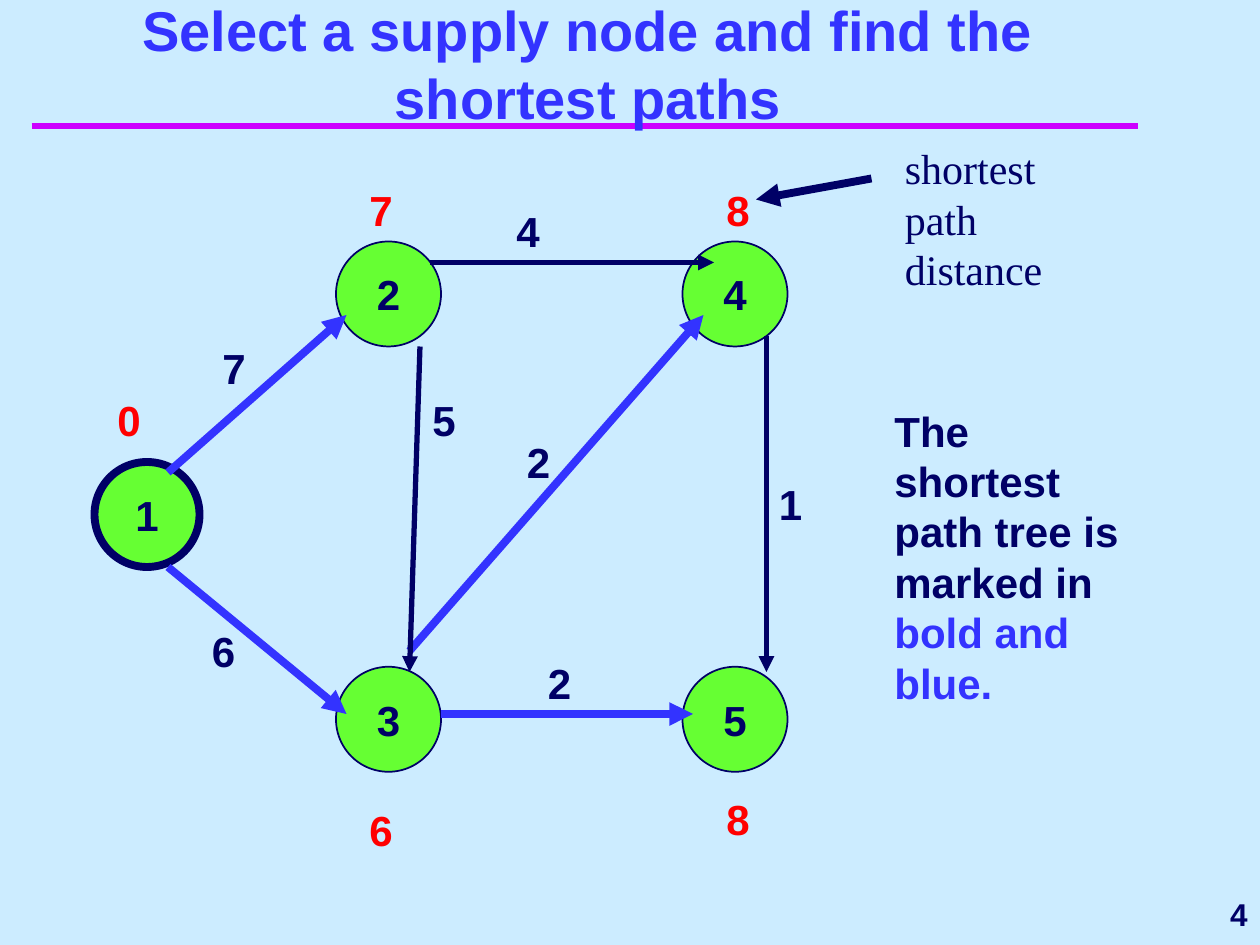
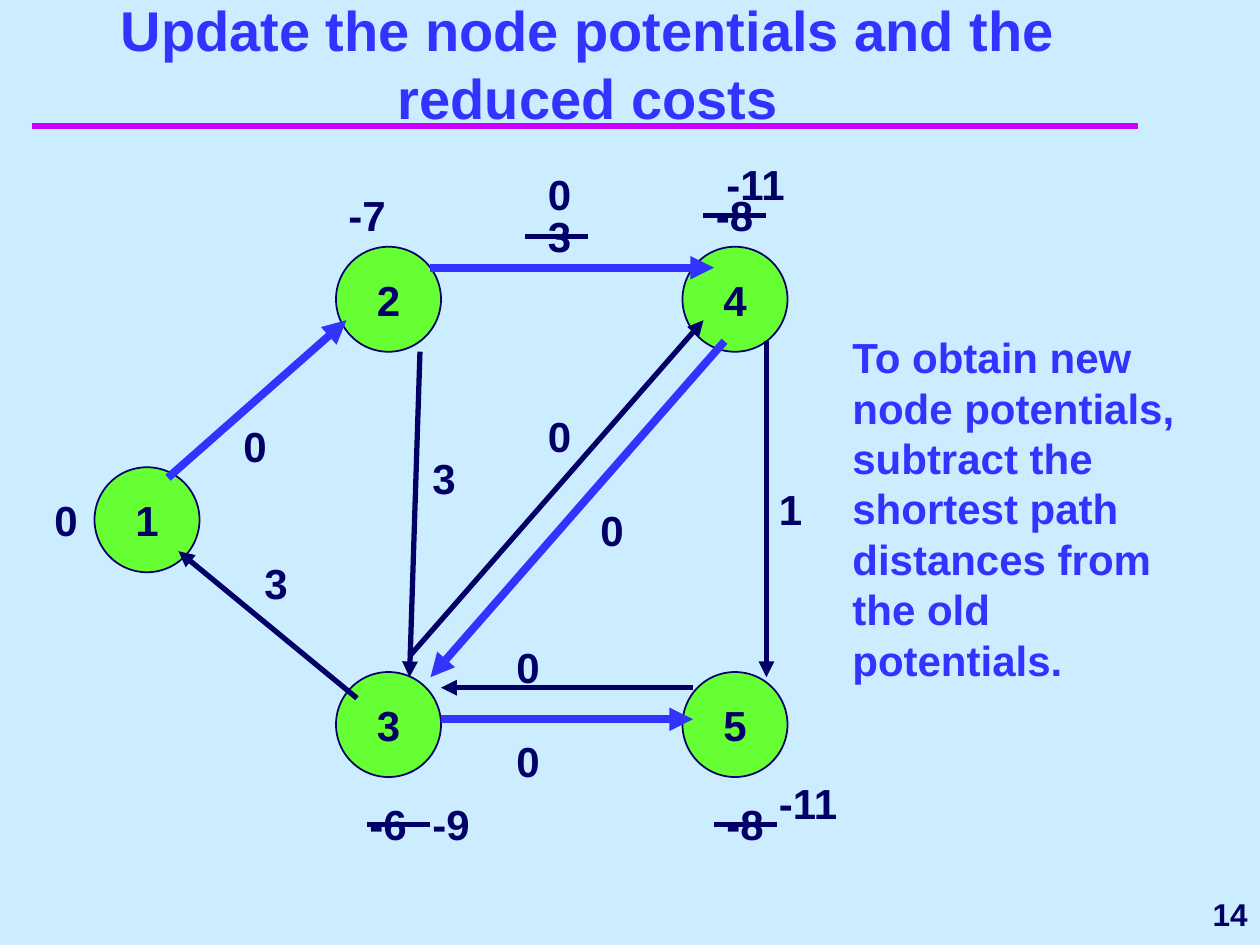
import dataclasses

import lxml.etree
import pptx
import pptx.dml.color
import pptx.enum.shapes
import pptx.enum.text
import pptx.oxml.ns
import pptx.util

ALIGN = pptx.enum.text.PP_ALIGN
ANCHOR = pptx.enum.text.MSO_ANCHOR
NODE_SIZE = 100
LABEL_HEIGHT = 60
STRIKE_LENGTH = 60


@dataclasses.dataclass(frozen=True)
class Theme:
    background: str = "CCECFF"
    ink: str = "000066"
    blue: str = "3333FF"
    red: str = "FF0000"
    node: str = "66FF33"
    rule: str = "CC00FF"
    sans: str = "Arial"
    serif: str = "Times New Roman"
    title_size: int = 32
    body_size: int = 24
    number_size: int = 18
    outline: float = 1
    thin: float = 3
    rule_width: float = 4
    thick: float = 4.5


NODES = {
    "1": (90, 440),
    "2": (320, 230),
    "3": (320, 635),
    "5": (650, 635),
    "4": (650, 230),
}

EDGES = {
    "1-2": (160, 450, 330, 300),
    "2-4": (410, 250, 680, 250),
    "4-5": (730, 320, 730, 640),
    "3-4": (390, 620, 670, 300),
    "1-3": (160, 540, 330, 680),
    "3-1": (340, 660, 170, 520),
    "3-5": (420, 680, 660, 680),
    "2-3": (400, 330, 390, 640),
    "4-3": (690, 320, 410, 640),
    "5-3": (660, 650, 420, 650),
}


def emu(pixels):
    return pptx.util.Emu(pixels * 7620)


def rgb(color):
    return pptx.dml.color.RGBColor.from_string(color)


class Deck:
    def __init__(self, theme):
        self.theme = theme
        self.presentation = pptx.Presentation()
        self.presentation.slide_width = emu(1200)
        self.presentation.slide_height = emu(900)
        fill = self.presentation.slide_master.background.fill
        fill.solid()
        fill.fore_color.rgb = rgb(theme.background)
        self.slide = None
        self.offset = 0

    def start_slide(self, title, number, offset):
        theme = self.theme
        self.slide = self.presentation.slides.add_slide(self.presentation.slide_layouts[6])
        self.offset = 0
        self.line((30, 120, 1084, 120), theme.rule, theme.rule_width)
        self.text(number, (970, 840, 230, 60), size=theme.number_size,
                  align=ALIGN.RIGHT, anchor=ANCHOR.MIDDLE)
        self.text(title, (50, 80, 1020, 50), color=theme.blue, size=theme.title_size,
                  align=ALIGN.CENTER, anchor=ANCHOR.BOTTOM)
        self.offset = offset

    def place(self, left, top, width, height):
        return emu(left), emu(top + self.offset), emu(width), emu(height)

    def format(self, paragraph, color, size, align, font=None, bold=True):
        paragraph.alignment = align
        paragraph.font.name = font or self.theme.sans
        paragraph.font.size = pptx.util.Pt(size)
        paragraph.font.bold = bold
        if color:
            paragraph.font.color.rgb = rgb(color)

    def text(self, text, box, color=None, size=None, align=ALIGN.LEFT,
             anchor=ANCHOR.TOP, font=None, bold=True):
        frame = self.slide.shapes.add_textbox(*self.place(*box)).text_frame
        frame.word_wrap = True
        frame.vertical_anchor = anchor
        paragraph = frame.paragraphs[0]
        paragraph.text = text
        self.format(paragraph, color or self.theme.ink, size or self.theme.body_size,
                    align, font, bold)

    def two_tone_text(self, parts, box):
        frame = self.slide.shapes.add_textbox(*self.place(*box)).text_frame
        frame.word_wrap = True
        paragraph = frame.paragraphs[0]
        self.format(paragraph, None, self.theme.body_size, ALIGN.LEFT)
        for text, color in parts:
            run = paragraph.add_run()
            run.text = text
            run.font.color.rgb = rgb(color)

    def labels(self, entries, color=None):
        for text, left, top, width in entries:
            self.text(text, (left, top, width, LABEL_HEIGHT), color)

    def line(self, ends, color, width, arrow=False):
        x1, y1, x2, y2 = ends
        connector = self.slide.shapes.add_connector(
            pptx.enum.shapes.MSO_CONNECTOR.STRAIGHT,
            emu(x1), emu(y1 + self.offset), emu(x2), emu(y2 + self.offset))
        connector.line.color.rgb = rgb(color)
        connector.line.width = pptx.util.Pt(width)
        qn = pptx.oxml.ns.qn
        properties = connector._element.spPr
        if arrow:
            lxml.etree.SubElement(properties.find(qn("a:ln")), qn("a:tailEnd"), type="triangle")
        lxml.etree.SubElement(properties, qn("a:effectLst"))

    def node(self, name, left, top, width):
        shape = self.slide.shapes.add_shape(
            pptx.enum.shapes.MSO_SHAPE.OVAL, *self.place(left, top, NODE_SIZE, NODE_SIZE))
        shape.shadow.inherit = False
        shape.fill.solid()
        shape.fill.fore_color.rgb = rgb(self.theme.node)
        shape.line.color.rgb = rgb(self.theme.ink)
        shape.line.width = pptx.util.Pt(width)
        frame = shape.text_frame
        frame.word_wrap = False
        frame.vertical_anchor = ANCHOR.MIDDLE
        paragraph = frame.paragraphs[0]
        paragraph.text = name
        self.format(paragraph, self.theme.ink, self.theme.body_size, ALIGN.CENTER)

    def network(self, edges, tree, source=None):
        theme = self.theme
        for name, (left, top) in NODES.items():
            self.node(name, left, top, theme.thick if name == source else theme.outline)
        for edge in edges:
            color, width = (theme.blue, theme.thick) if edge in tree else (theme.ink, theme.thin)
            self.line(EDGES[edge], color, width, arrow=True)

    def strike(self, left, top):
        self.line((left, top, left + STRIKE_LENGTH, top), self.theme.ink, self.theme.thin)


def add_shortest_paths(deck):
    theme = deck.theme
    deck.start_slide("Select a supply node and find the shortest paths", "4", 0)
    deck.network(("1-2", "2-4", "4-5", "3-4", "1-3", "3-5", "2-3"),
                 tree={"1-2", "3-4", "1-3", "3-5"}, source="1")
    deck.labels([
        ("4", 480, 190, 50),
        ("1", 730, 450, 50),
        ("2", 490, 410, 70),
        ("2", 510, 620, 70),
        ("5", 400, 370, 80),
        ("6", 190, 590, 140),
        ("7", 200, 320, 140),
    ])
    deck.labels([
        ("7", 340, 170, 50),
        ("0", 100, 370, 50),
        ("6", 340, 760, 50),
        ("8", 680, 750, 50),
        ("8", 680, 170, 50),
    ], theme.red)
    deck.text("shortest path distance", (850, 130, 180, 156), font=theme.serif, bold=False)
    deck.line((830, 170, 720, 190), theme.ink, theme.thick, arrow=True)
    deck.two_tone_text([("The shortest path tree is marked in ", theme.ink),
                        ("bold and blue.", theme.blue)], (840, 380, 260, 300))


def add_updated_potentials(deck):
    deck.start_slide("Update the node potentials and the reduced costs", "14", 5)
    deck.network(("1-2", "2-4", "4-5", "3-4", "3-1", "3-5", "2-3", "4-3", "5-3"),
                 tree={"1-2", "2-4", "3-5", "4-3"})
    deck.labels([
        ("1", 730, 450, 50),
        ("0", 40, 460, 80),
        ("-7", 320, 170, 80),
        ("-8", 670, 170, 80),
        ("-8", 680, 750, 80),
        ("-6", 340, 750, 80),
        ("0", 220, 390, 140),
        ("3", 240, 520, 140),
        ("0", 480, 690, 140),
        ("0", 510, 380, 140),
        ("3", 400, 420, 140),
        ("3", 510, 190, 140),
        ("0", 560, 470, 140),
        ("0", 480, 600, 140),
        ("-11", 680, 140, 110),
        ("-11", 730, 730, 120),
        ("-9", 400, 750, 80),
        ("0", 510, 150, 140),
    ])
    for left, top in ((670, 200), (350, 780), (680, 780), (500, 220)):
        deck.strike(left, top)
    deck.text("To obtain new node potentials, subtract the shortest path distances "
              "from the old potentials.", (800, 305, 340, 348), deck.theme.blue)


def main():
    deck = Deck(Theme())
    add_shortest_paths(deck)
    add_updated_potentials(deck)
    deck.presentation.save("out.pptx")


if __name__ == "__main__":
    main()
